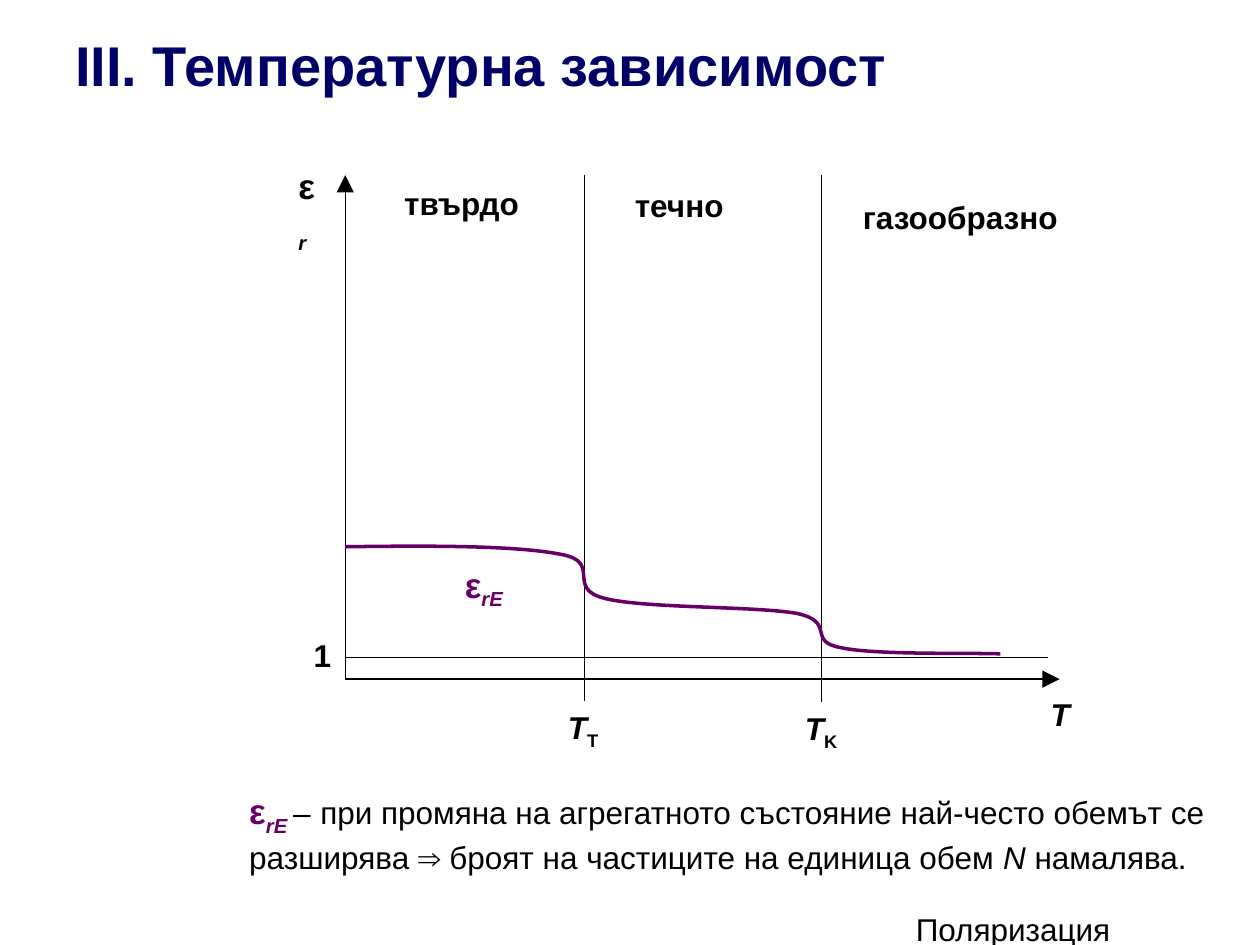
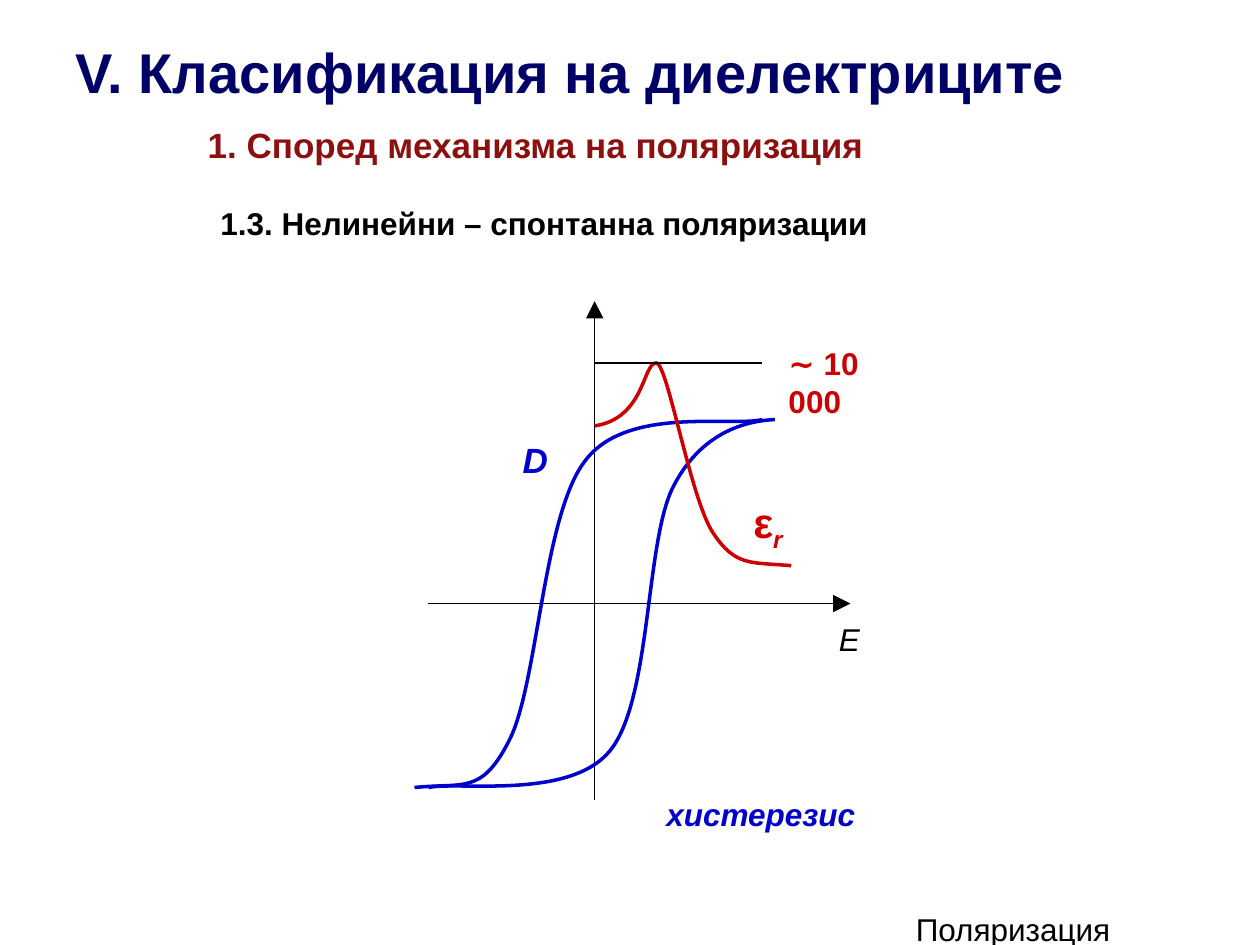
from dataclasses import dataclass
from typing import NamedTuple

from lxml import etree
from pptx import Presentation
from pptx.dml.color import RGBColor
from pptx.enum.shapes import MSO_CONNECTOR
from pptx.oxml.ns import qn
from pptx.slide import Slide
from pptx.util import Inches, Pt

FONT = "Arial"
COLORS = {
    "black": "000000",
    "title": "000066",
    "heading": "8B1111",
    "purple": "660066",
    "red": "CC0000",
    "blue": "0000CC",
}
SUBSCRIPT = "-25000"

Point = tuple[float, float]


class Run(NamedTuple):
    text: str
    size: int = 18
    color: str = "black"
    bold: bool = True
    italic: bool = False
    sub: bool = False


@dataclass
class Label:
    left: float
    top: float
    width: float
    height: float
    runs: list[Run]


@dataclass
class Line:
    start: Point
    end: Point
    arrow: bool = False


@dataclass
class Curve:
    color: str
    points: list[Point]  # start point, then three points per cubic segment


# Drawing functions
def rgb(name: str) -> RGBColor:
    return RGBColor.from_string(COLORS[name])


def draw_label(slide: Slide, label: Label) -> None:
    box = slide.shapes.add_textbox(Inches(label.left), Inches(label.top),
                                   Inches(label.width), Inches(label.height))
    tf = box.text_frame
    tf.word_wrap = True
    p = tf.paragraphs[0]
    for run in label.runs:
        r = p.add_run()
        r.text = run.text
        font = r.font
        font.name, font.size = FONT, Pt(run.size)
        font.bold, font.italic = run.bold, run.italic
        font.color.rgb = rgb(run.color)
        if run.sub:
            r._r.get_or_add_rPr().set("baseline", SUBSCRIPT)


def draw_line(slide: Slide, line: Line) -> None:
    ends = [Inches(v) for v in (*line.start, *line.end)]
    sp = slide.shapes.add_connector(MSO_CONNECTOR.STRAIGHT, *ends)
    sp.line.color.rgb = rgb("black")
    sp.line.width = Pt(0.75)
    if line.arrow:
        etree.SubElement(sp.line._get_or_add_ln(), qn("a:tailEnd"),
                         type="triangle", w="lg", len="lg")
    etree.SubElement(sp._element.spPr, qn("a:effectLst"))


def draw_curve(slide: Slide, curve: Curve) -> None:
    start, *rest = [(Inches(x), Inches(y)) for x, y in curve.points]
    builder = slide.shapes.build_freeform(*start)
    builder.add_line_segments(rest, close=False)
    sp = builder.convert_to_shape()
    sp.shadow.inherit = False
    sp.fill.background()
    sp.line.color.rgb = rgb(curve.color)
    sp.line.width = Pt(2)

    # Turn every three straight segments into one cubic segment
    outline = next(sp._element.iter(qn("a:path")))
    segments = outline.findall(qn("a:lnTo"))
    for i in range(0, len(segments), 3):
        cubic = etree.SubElement(outline, qn("a:cubicBezTo"))
        for segment in segments[i:i + 3]:
            cubic.append(segment[0])
            outline.remove(segment)


def draw_all(slide: Slide, items: list[Label | Line | Curve]) -> None:
    painters = {Label: draw_label, Line: draw_line, Curve: draw_curve}
    for item in items:
        painters[type(item)](slide, item)


def new_slide(prs: Presentation, title: str, top: float, width: float) -> Slide:
    """Blank slide with the shared footer and title."""
    slide = prs.slides.add_slide(prs.slide_layouts[6])
    draw_all(slide, [
        Label(7.17, 7.17, 2.33, 0.27, [Run("Поляризация", bold=False)]),
        Label(0.5, top, width, 0.63, [Run(title, 32, "title")]),
    ])
    return slide


def symbol(letter: str, index: str, size: int, color: str = "black") -> list[Run]:
    """Bold letter with an italic subscript."""
    return [Run(letter, size, color), Run(index, size, color, italic=True, sub=True)]


# Slide 1: permittivity against temperature
def temperature_slide(prs: Presentation) -> None:
    slide = new_slide(prs, "ІІІ. Температурна зависимост", 0.19, 6.66)
    left, base, top = 2.74, 5.39, 1.39

    # Level of one
    draw_all(slide, [
        Line((left, 5.22), (8.32, 5.22)),
        Label(2.39, 5, 0.34, 0.4, [Run("1")]),
    ])

    # Phase transitions
    for x, bottom, index in ((4.64, 5.56, "T"), (6.52, 5.57, "K")):
        draw_all(slide, [
            Line((x, top), (x, bottom)),
            Label(x - 0.23, bottom + 0.01, 0.46, 0.4,
                  [Run("T", italic=True), Run(index, sub=True)]),
        ])

    # Axes
    draw_all(slide, [
        Line((left, base), (8.41, base), arrow=True),
        Line((left, base), (left, top), arrow=True),
        Label(8.24, 5.47, 0.35, 0.4, [Run("T", italic=True)]),
        Label(2.27, 1.26, 0.39, 0.43, symbol("ε", "r", 20)),
    ])

    # Permittivity curve
    draw_all(slide, [
        Curve("purple", [(left, 4.34),
                         (3.42, 4.33), (4.1, 4.33), (4.45, 4.4),
                         (4.79, 4.46), (4.48, 4.67), (4.8, 4.75),
                         (5.11, 4.83), (6.01, 4.81), (6.33, 4.87),
                         (6.64, 4.94), (6.4, 5.09), (6.67, 5.14),
                         (6.94, 5.2), (7.67, 5.18), (7.94, 5.19)]),
        Label(3.59, 4.42, 0.51, 0.43, symbol("ε", "rE", 20, "purple")),
    ])

    # Phases
    for phase, x, y, width in (("твърдо", 3.11, 1.41, 1.12),
                               ("течно", 4.94, 1.43, 0.91),
                               ("газообразно", 6.75, 1.52, 1.76)):
        draw_label(slide, Label(x, y, width, 0.4, [Run(phase)]))

    # Explanation
    draw_label(slide, Label(1.88, 6.22, 7.84, 0.73, [
        *symbol("ε", "rE ", 20, "purple"),
        Run("–", bold=False),
        Run(" ", 20, bold=False),
        Run("при промяна на агрегатното състояние най-често обемът се "
            "разширява ⇒ броят на частиците на единица обем ", bold=False),
        Run("N", bold=False, italic=True),
        Run(" намалява.", bold=False),
    ]))


# Slide 2: hysteresis of nonlinear dielectrics
def classification_slide(prs: Presentation) -> None:
    slide = new_slide(prs, "V. Класификация на диелектриците", 0.25, 8.08)
    origin_x, origin_y, peak_y = 4.72, 4.79, 2.88

    # Headings
    draw_all(slide, [
        Label(1.55, 0.93, 5.42, 0.43, [Run("1. Според механизма на поляризация", 20, "heading")]),
        Label(1.65, 1.57, 5.69, 0.4, [Run("1.3. Нелинейни – спонтанна поляризации")]),
    ])

    # Labels of the axis and curves
    draw_all(slide, [
        Label(6.56, 4.87, 0.37, 0.4, [Run("E", bold=False, italic=True)]),
        Label(5.88, 3.89, 0.81, 0.5, symbol("ε", "r", 24, "red")),
        Label(4.05, 3.43, 0.4, 0.43, [Run("D", 20, "blue", italic=True)]),
        Label(6.16, 2.68, 1.17, 0.4, [Run("∼ 10 000", color="red")]),
    ])

    # Axes
    draw_all(slide, [
        Line((3.4, origin_y), (6.75, origin_y), arrow=True),
        Line((origin_x, 6.35), (origin_x, 2.39), arrow=True),
    ])

    # Hysteresis loop, permittivity curve and its peak level
    draw_all(slide, [
        Curve("blue", [(6.05, 3.33),
                       (5.81, 3.39), (4.98, 3.22), (4.65, 3.65),
                       (4.31, 4.07), (4.27, 5.44), (4.04, 5.88),
                       (3.82, 6.31), (3.68, 6.21), (3.29, 6.25)]),
        Curve("blue", [(3.4, 6.25),
                       (3.64, 6.2), (4.52, 6.35), (4.84, 5.96),
                       (5.17, 5.56), (5.12, 4.31), (5.34, 3.87),
                       (5.56, 3.43), (5.92, 3.34), (6.15, 3.33)]),
        Curve("red", [(origin_x, 3.38),
                      (5.12, 3.32), (5.1, 2.88), (5.21, peak_y),
                      (5.3, 2.89), (5.48, 3.96), (5.66, 4.23),
                      (5.84, 4.5), (5.96, 4.46), (6.28, 4.49)]),
        Line((origin_x, peak_y), (6.05, peak_y)),
        Label(5.19, 6.26, 1.7, 0.4, [Run("хистерезис", color="blue", italic=True)]),
    ])


def main() -> None:
    prs = Presentation()
    prs.slide_width, prs.slide_height = Inches(10), Inches(7.5)
    temperature_slide(prs)
    classification_slide(prs)
    prs.save("out.pptx")


if __name__ == "__main__":
    main()
